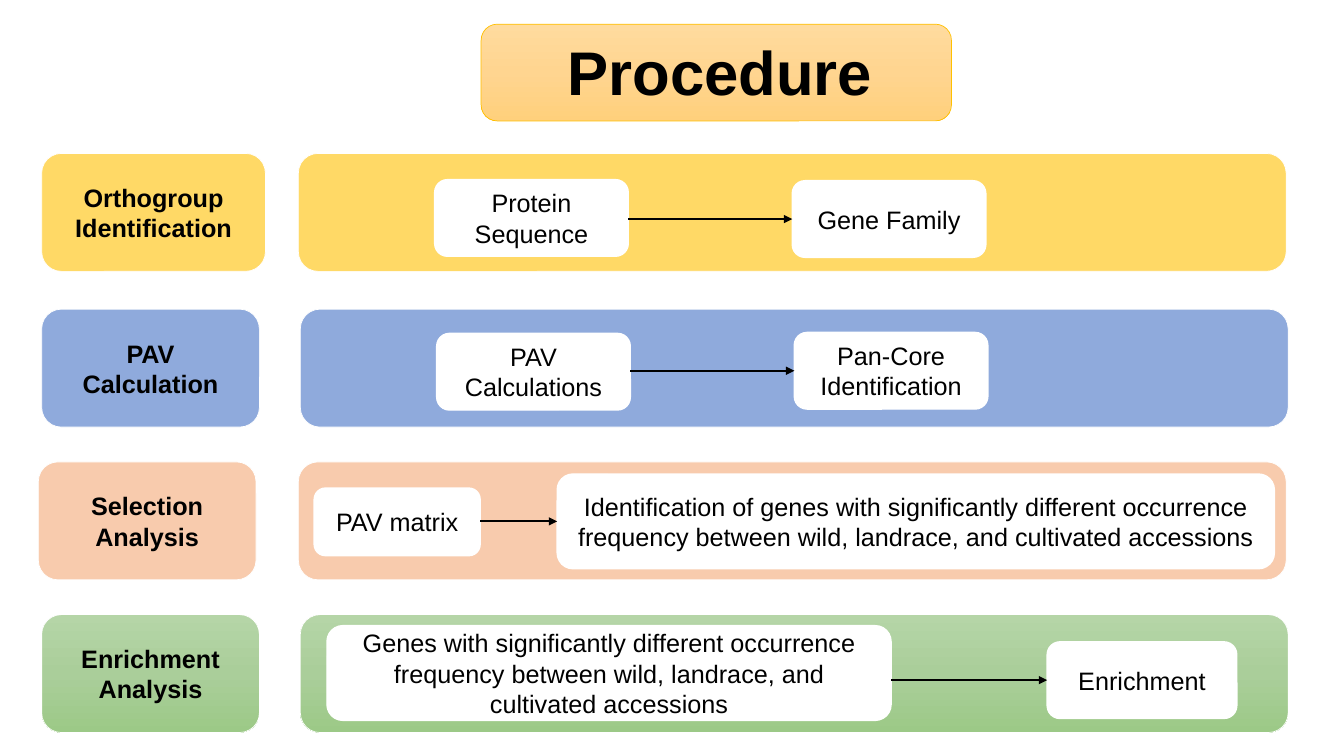
from dataclasses import dataclass

from lxml.etree import SubElement
from pptx import Presentation
from pptx.dml.color import RGBColor
from pptx.enum.shapes import MSO_CONNECTOR as Connector, MSO_SHAPE as Preset
from pptx.enum.text import MSO_ANCHOR as Anchor, PP_ALIGN as Align
from pptx.oxml import parse_xml
from pptx.oxml.ns import nsdecls, qn
from pptx.util import Inches, Pt


@dataclass(frozen=True)
class Theme:
    """Colours, font and sizes of the deck."""
    font: str = "Arial"
    title_size: int = 44
    text_size: int = 18
    ink: str = "000000"
    paper: str = "FFFFFF"
    title_edge: str = "FFC000"
    title_fill: tuple = ("FFDB9E", "FFD590", "FFD07C")
    yellow: str = "FFD966"
    blue: str = "8FAADC"
    peach: str = "F8CBAD"
    green: tuple = ("B5D5A7", "AACE9A", "9CC987")


@dataclass(frozen=True)
class Box:
    """A rectangle in slide units."""
    left: int
    top: int
    width: int
    height: int

    def inner(self, left, top, width, height):
        """Return an inner box given in percent of this one."""
        return Box(int(self.left + self.width * left / 100),
                   int(self.top + self.height * top / 100),
                   int(self.width * width / 100),
                   int(self.height * height / 100))

    def bounds(self):
        """Return left, top, width and height."""
        return self.left, self.top, self.width, self.height


THEME = Theme()
ROW_HEIGHT = 15.6
BAND_WIDTH = 73.5
ROWS = [
    (20.3, THEME.yellow, (3.1, 16.65), 22.2, "Orthogroup\vIdentification",
     [("Protein Sequence", (13.8, 22.2, 19.6, 65)),
      ("Gene Family", (50, 23.1, 19.6, 65))]),
    (40.9, THEME.blue, (3.1, 16.2), 22.35, "PAV\vCalculation",
     [("PAV Calculations", (13.8, 20.5, 19.6, 65)),
      ("Pan-Core Identification", (50, 19.7, 19.6, 65))]),
    (61.1, THEME.peach, (2.85, 16.2), 22.2, "Selection Analysis",
     [("PAV matrix", (1.6, 22.2, 16.8, 57.3)),
      ("Identification of genes with significantly different occurrence "
       "frequency between wild, landrace, and cultivated accessions",
       (26.2, 10.3, 72.6, 80.3))]),
    (81.3, THEME.green, (3.1, 16.2), 22.35, "Enrichment Analysis",
     [("Genes with significantly different occurrence frequency between "
       "wild, landrace, and cultivated accessions", (2.7, 9.4, 57.1, 80.3)),
      ("Enrichment", (75.6, 23.1, 19.2, 65))]),
]


def paint(shape, colour):
    """Fill a shape with one colour or a downward gradient of three."""
    if isinstance(colour, str):
        shape.fill.solid()
        shape.fill.fore_color.rgb = RGBColor.from_string(colour)
        return
    stops = "".join(
        f'<a:gs pos="{index * 50000}"><a:srgbClr val="{shade}"/></a:gs>'
        for index, shade in enumerate(colour))
    shape.fill.background()
    blank = shape._element.spPr.find(qn("a:noFill"))
    blank.getparent().replace(blank, parse_xml(
        f'<a:gradFill {nsdecls("a")} rotWithShape="1"><a:gsLst>{stops}'
        '</a:gsLst><a:lin ang="5400000" scaled="0"/></a:gradFill>'))


def write(shape, text, size, bold, align):
    """Put middle-anchored text in a shape."""
    frame = shape.text_frame
    frame.word_wrap = True
    frame.vertical_anchor = Anchor.MIDDLE
    frame.text = text
    para = frame.paragraphs[0]
    para.alignment = align
    for span in para.runs:
        span.font.name = THEME.font
        span.font.size = Pt(size)
        span.font.bold = bold
        span.font.color.rgb = RGBColor.from_string(THEME.ink)


def add_panel(page, box, colour, text="", bold=False,
              edge=THEME.paper, edge_width=0.5):
    """Draw a rounded panel, with text if there is any."""
    panel = page.shapes.add_shape(Preset.ROUNDED_RECTANGLE, *box.bounds())
    panel.shadow.inherit = False
    paint(panel, colour)
    panel.line.color.rgb = RGBColor.from_string(edge)
    panel.line.width = Pt(edge_width)
    if text:
        write(panel, text, THEME.text_size, bold, Align.CENTER)


def add_arrow(page, start, end):
    """Join two step boxes with a level arrow."""
    middle = end.top + end.height // 2
    arrow = page.shapes.add_connector(
        Connector.STRAIGHT, start.left + start.width, middle, end.left, middle)
    arrow.line.color.rgb = RGBColor.from_string(THEME.ink)
    arrow.line.width = Pt(1.5)
    outline = arrow._element.spPr.find(qn("a:ln"))
    SubElement(outline, qn("a:tailEnd"), type="triangle")
    SubElement(arrow._element.spPr, qn("a:effectLst"))


def add_title(page, area):
    """Draw the title plate and its heading."""
    add_panel(page, area.inner(35.8, 3.2, 35, 12.8), THEME.title_fill,
              edge=THEME.title_edge)
    heading = page.shapes.add_textbox(*area.inner(41.5, 0.4, 26.2, 19.3).bounds())
    write(heading, "Procedure", THEME.title_size, True, Align.LEFT)
    heading.text_frame.paragraphs[0].line_spacing = 0.9


def add_row(page, area, top, colour, label_span, band_left, label, steps):
    """Draw a stage label and its band of two joined steps."""
    left, width = label_span
    add_panel(page, area.inner(left, top, width, ROW_HEIGHT), colour, label, True)
    band = area.inner(band_left, top, BAND_WIDTH, ROW_HEIGHT)
    add_panel(page, band, colour)
    boxes = [band.inner(*place) for _, place in steps]
    for (text, _), box in zip(steps, boxes):
        add_panel(page, box, THEME.paper, text, edge_width=1)
    add_arrow(page, *boxes)


def main():
    """Build and save the deck."""
    deck = Presentation()
    deck.slide_width, deck.slide_height = Inches(13.33), Inches(7.5)
    page = deck.slides.add_slide(deck.slide_layouts[6])
    area = Box(0, 0, deck.slide_width, deck.slide_height)
    add_title(page, area)
    for row in ROWS:
        add_row(page, area, *row)
    deck.save("out.pptx")


if __name__ == "__main__":
    main()
